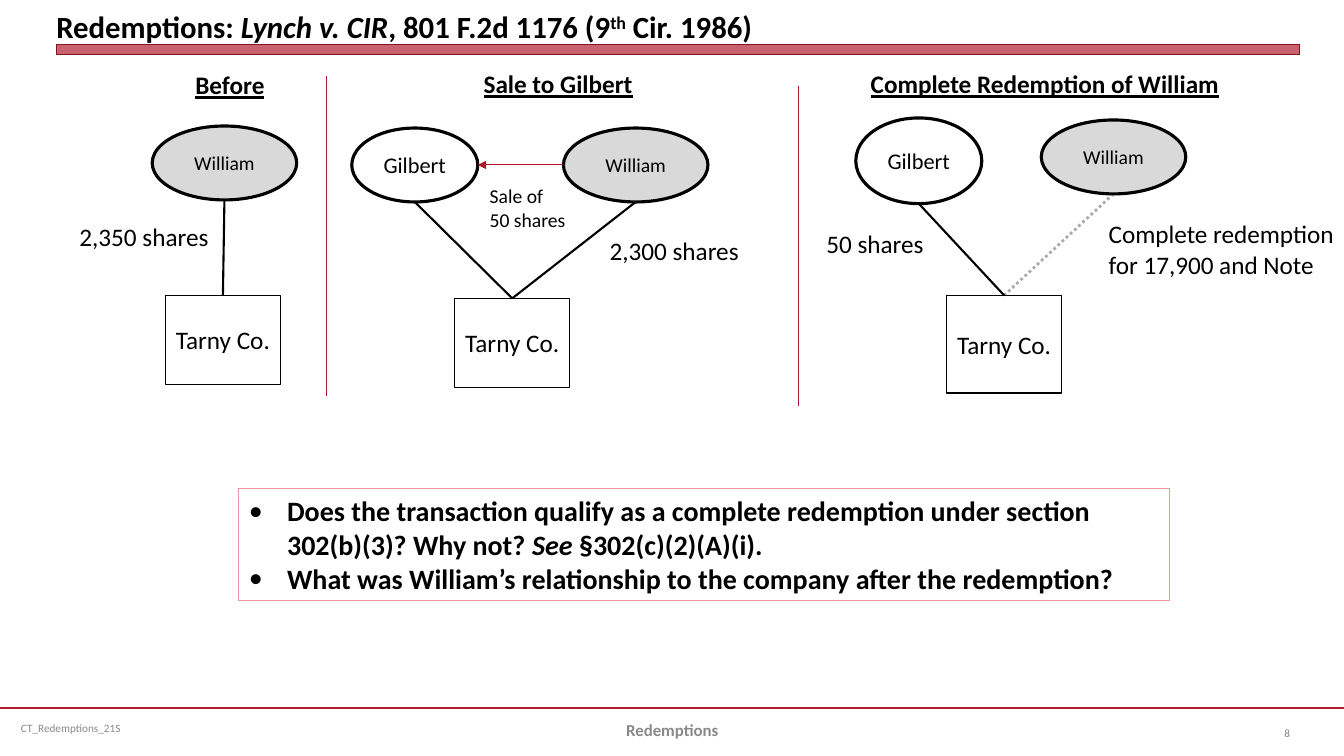
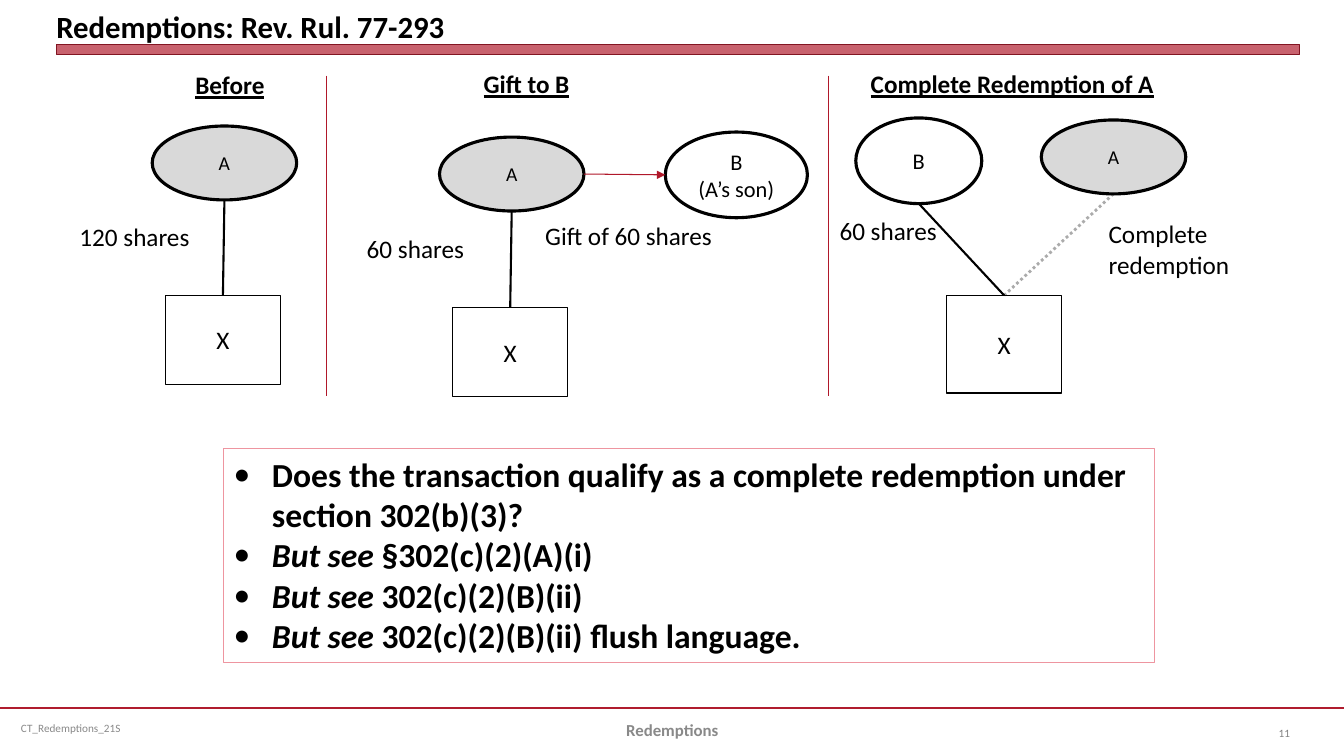
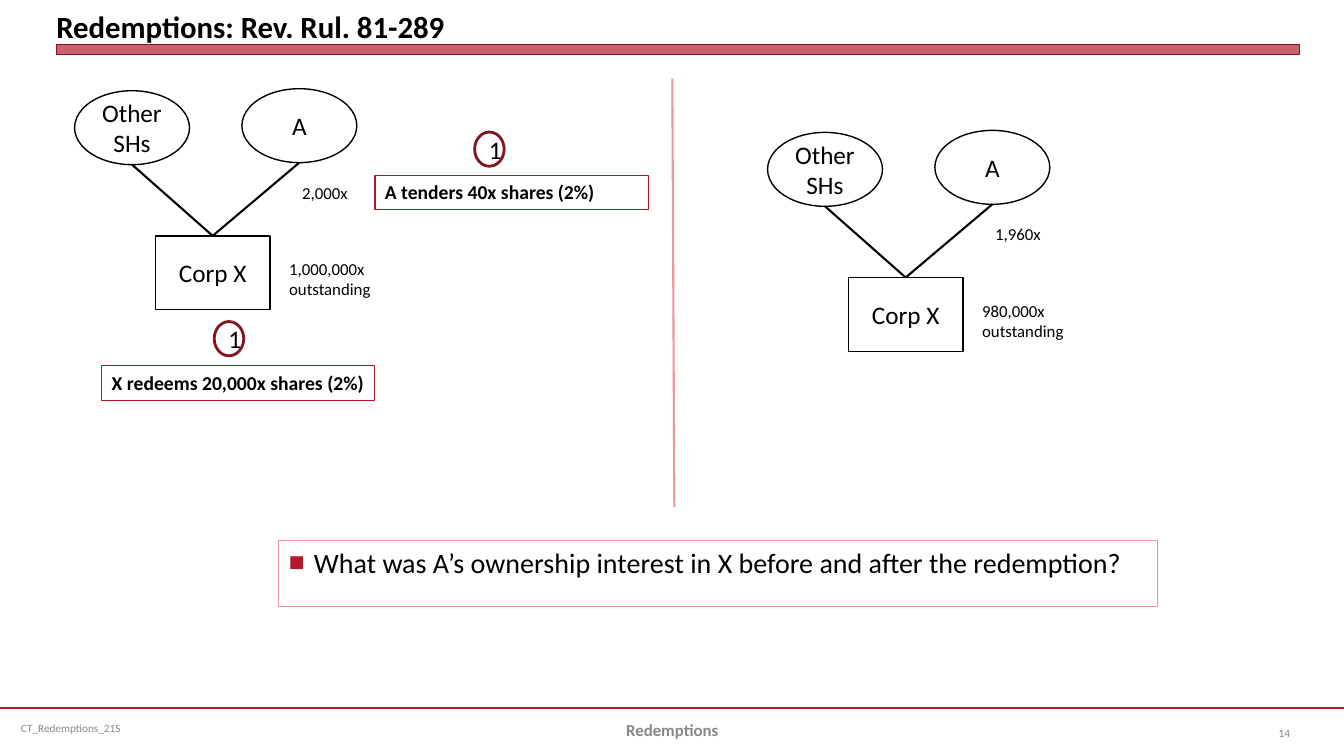
from dataclasses import dataclass
from typing import NamedTuple, Optional

from lxml import etree
from pptx import Presentation
from pptx import util as u
from pptx.dml.color import RGBColor
from pptx.enum import dml, shapes, text
from pptx.oxml.ns import qn

WIDTH, HEIGHT = u.Inches(13.333), u.Inches(7.5)
COLS, ROWS = 80, 45
RECT, OVAL = shapes.MSO_SHAPE.RECTANGLE, shapes.MSO_SHAPE.OVAL
ALIGN, ANCHOR = text.PP_ALIGN, text.MSO_ANCHOR


@dataclass(frozen=True)
class Theme:
    font: str = "Calibri"
    ink: str = "000000"
    red: str = "B01C2E"
    line: str = "B0182A"
    dark: str = "821522"
    pink: str = "EE95A0"
    shade: str = "D9D9D9"
    grey: str = "898989"
    page: str = "808080"
    title: float = 22
    large: float = 24
    ask: float = 20
    body: float = 18
    name: float = 16
    small: float = 14
    foot: float = 12
    tiny: float = 8


T = Theme()
HEAD = {"size": T.body, "bold": True, "underline": True}


class Point(NamedTuple):
    x: float
    y: float


@dataclass(frozen=True)
class Box:
    """Place and size in grid columns and rows."""
    x: float
    y: float
    w: float
    h: float

    @property
    def top(self) -> Point:
        return Point(self.x + self.w / 2, self.y)

    @property
    def foot(self) -> Point:
        return Point(self.x + self.w / 2, self.y + self.h)

    @property
    def left(self) -> Point:
        return Point(self.x, self.y + self.h / 2)

    @property
    def right(self) -> Point:
        return Point(self.x + self.w, self.y + self.h / 2)

    def shift(self, by: Point) -> "Box":
        return Box(self.x + by.x, self.y + by.y, self.w, self.h)


class Bullet(NamedTuple):
    char: str
    indent: float
    color: Optional[str] = None
    scale: Optional[int] = None


class Label(NamedTuple):
    words: str
    box: Box
    size: float = T.body
    wrap: bool = False


class Node(NamedTuple):
    words: str
    box: Box
    size: float = T.body
    fill: Optional[str] = None
    weight: float = 1
    edge: str = T.ink
    kind: int = OVAL


class Case(NamedTuple):
    """What differs between the two three-panel slides."""
    title: str
    page: int
    firm: str
    seller: str
    buyer: str
    held: str
    heads: tuple
    kept: Label
    note: Label
    split: Point
    ask: Box
    size: float
    points: str


DOT = Bullet("•", 0.38)
SQUARE = Bullet("■", 0.25, T.red, 60)


def col(n: float) -> int:
    return round(WIDTH * n / COLS)


def row(n: float) -> int:
    return round(HEIGHT * n / ROWS)


def place(box: Box) -> tuple:
    return col(box.x), row(box.y), col(box.w), row(box.h)


def rgb(code: str) -> RGBColor:
    return RGBColor.from_string(code)


def fade(shape, share: int) -> None:
    """Make the first colour of a shape partly transparent."""
    color = shape._element.spPr.find(".//" + qn("a:srgbClr"))
    etree.SubElement(color, qn("a:alpha")).set("val", str(share * 1000))


def mark(para, bullet: Bullet) -> None:
    props = para._p.get_or_add_pPr()
    step = u.Inches(bullet.indent)
    props.set("marL", str(step))
    props.set("indent", str(-step))
    if bullet.color:
        tint = etree.SubElement(props, qn("a:buClr"))
        etree.SubElement(tint, qn("a:srgbClr")).set("val", bullet.color)
    if bullet.scale:
        etree.SubElement(props, qn("a:buSzPct")).set("val", str(bullet.scale * 1000))
    etree.SubElement(props, qn("a:buFont")).set("typeface", T.font)
    etree.SubElement(props, qn("a:buChar")).set("char", bullet.char)


def write(shape, words: str, look: dict, color: str = T.ink, align=ALIGN.LEFT,
          anchor=ANCHOR.TOP, wrap: bool = True, grow: bool = False,
          bullet: Optional[Bullet] = None) -> None:
    """Set text: each line a paragraph, *italic*, ^superscript^."""
    frame = shape.text_frame
    frame.word_wrap = wrap
    frame.vertical_anchor = anchor
    fit = text.MSO_AUTO_SIZE
    frame.auto_size = fit.SHAPE_TO_FIT_TEXT if grow else fit.NONE
    for i, line in enumerate(words.split("\n")):
        para = frame.add_paragraph() if i else frame.paragraphs[0]
        para.alignment = align
        if bullet:
            mark(para, bullet)
        for j, part in enumerate(line.split("*")):
            for k, bit in enumerate(part.split("^")):
                if not bit:
                    continue
                run = para.add_run()
                run.text = bit
                values = {"name": T.font, **look, "size": u.Pt(look["size"])}
                if j % 2:
                    values["italic"] = True
                for key, value in values.items():
                    setattr(run.font, key, value)
                run.font.color.rgb = rgb(color)
                if k % 2:
                    run._r.get_or_add_rPr().set("baseline", "30000")


def shape(slide, kind: int, box: Box, edge: str, weight: float,
          fill: Optional[str] = None):
    item = slide.shapes.add_shape(kind, *place(box))
    item.shadow.inherit = False
    if fill:
        item.fill.solid()
        item.fill.fore_color.rgb = rgb(fill)
    else:
        item.fill.background()
    item.line.color.rgb = rgb(edge)
    item.line.width = u.Pt(weight)
    return item


def line(slide, start: Point, end: Point, color: str = T.ink,
         weight: float = 1.5, firm=None, head: bool = False):
    """Draw a straight line; it is joined to the top of firm, if given."""
    item = slide.shapes.add_connector(
        shapes.MSO_CONNECTOR.STRAIGHT,
        col(start.x), row(start.y), col(end.x), row(end.y))
    if firm is not None:
        item.end_connect(firm, 0)
    item.line.color.rgb = rgb(color)
    item.line.width = u.Pt(weight)
    if head:
        tip = etree.SubElement(item.line._get_or_add_ln(), qn("a:tailEnd"))
        tip.set("type", "triangle")
    etree.SubElement(item._element.spPr, qn("a:effectLst"))
    return item


def note(slide, words: str, box: Box, look: dict, **how):
    item = slide.shapes.add_textbox(*place(box))
    write(item, words, look, **how)
    return item


def label(slide, tag: Label) -> None:
    note(slide, tag.words, tag.box, {"size": tag.size}, wrap=tag.wrap, grow=True)


def heading(slide, words: str, box: Box) -> None:
    note(slide, words, box, HEAD, wrap=False, grow=True)


def node(slide, item: Node):
    made = shape(slide, item.kind, item.box, item.edge, item.weight, item.fill)
    write(made, item.words, {"size": item.size}, align=ALIGN.CENTER,
          anchor=ANCHOR.MIDDLE)
    return made


def company(slide, words: str, box: Box):
    return node(slide, Node(words, box, kind=RECT))


def seller(slide, words: str, box: Box) -> None:
    node(slide, Node(words, box, T.small, T.shade, 2.25))


def buyer(slide, words: str, box: Box) -> None:
    node(slide, Node(words, box, T.name, weight=2.25))


def split(slide, top: Point) -> None:
    line(slide, top, Point(top.x, top.y + 19.08), T.line, 0.75)


def ask(slide, words: str, box: Box, look: dict, bullet: Bullet,
        align=ALIGN.LEFT, grow: bool = True) -> None:
    frame = shape(slide, RECT, box, T.pink, 0.75)
    write(frame, words, look, bullet=bullet, align=align, grow=grow)


def start(deck, title: str, page: int):
    """Add a slide with its title, band and footer."""
    slide = deck.slides.add_slide(deck.slide_layouts[6])
    line(slide, Point(0, 42.15), Point(COLS, 42.15), T.red, 1.25)
    band = shape(slide, RECT, Box(3.36, 2.66, 74, 0.6), T.dark, 0, T.red)
    fade(band, 69)
    head = note(slide, title, Box(3.36, 0.25, 74, 2.4),
                {"size": T.title, "bold": True}, anchor=ANCHOR.BOTTOM)
    for side in ("left", "top", "right", "bottom"):
        setattr(head.text_frame, "margin_" + side, 0)
    tiny = {"size": T.tiny}
    mid = ANCHOR.MIDDLE
    note(slide, "CT_Redemptions_21S", Box(0.66, 42.12, 20.64, 2.4), tiny,
         color=T.grey, anchor=mid)
    note(slide, "Redemptions", Box(27.36, 42.25, 25.32, 2.4),
         {"size": T.foot, "bold": True}, color=T.grey, align=ALIGN.CENTER,
         anchor=mid)
    note(slide, str(page), Box(73.38, 42.45, 4, 2.4), tiny, color=T.page,
         align=ALIGN.RIGHT, anchor=mid)
    return slide


def panels(deck, case: Case):
    """Draw the outer panels and the questions; the middle stays open."""
    slide = start(deck, case.title, case.page)
    for words, box in zip(case.heads, (Box(11.04, 3.84, 5.34, 2.4),
                                       Box(28.2, 3.78, 10.14, 2.4),
                                       Box(51.24, 3.78, 22.14, 2.4))):
        heading(slide, words, box)

    owner = Box(9.06, 7.5, 8.6, 4.4)
    base = Box(9.84, 17.58, 6.86, 5.3)
    line(slide, owner.foot, base.top, firm=company(slide, case.firm, base))
    seller(slide, case.seller, owner)
    label(slide, Label(case.held, Box(4.14, 12.9, 9, 2.4)))

    stay, leave = Box(50.94, 7.02, 7.5, 5.1), Box(61.98, 7.14, 8.6, 4.4)
    base = Box(56.34, 17.58, 6.86, 5.82)
    firm = company(slide, case.firm, base)
    gone = line(slide, leave.foot, base.top, weight=2, firm=firm)
    gone.line.dash_style = dml.MSO_LINE.ROUND_DOT
    fade(gone, 33)
    line(slide, stay.foot, base.top, firm=firm)
    buyer(slide, case.buyer.split("\n")[0], stay)
    seller(slide, case.seller, leave)
    label(slide, case.kept)
    label(slide, case.note)

    split(slide, Point(19.44, 4.5))
    split(slide, case.split)
    ask(slide, case.points, case.ask, {"size": case.size, "bold": True}, DOT)
    return slide


def lynch(deck) -> None:
    case = Case(
        "Redemptions: *Lynch v. CIR*, 801 F.2d 1176 (9^th^ Cir. 1986)", 8,
        "Tarny Co.", "William", "Gilbert", "2,350 shares",
        ("Before", "Sale to Gilbert", "Complete Redemption of William"),
        Label("50 shares", Box(48.6, 13.32, 7.08, 2.4)),
        Label("Complete redemption\nfor 17,900 and Note",
              Box(65.4, 12.72, 15.12, 4.26)),
        Point(47.52, 5.1), Box(14.22, 29.1, 55.38, 6.66), T.ask,
        "Does the transaction qualify as a complete redemption under section "
        "302(b)(3)? Why not? *See *§302(c)(2)(A)(i).\n"
        "What was William’s relationship to the company after the redemption?")
    slide = panels(deck, case)
    giver, taker = Box(33.54, 7.62, 8.6, 4.4), Box(20.94, 7.62, 7.5, 4.4)
    base = Box(27.06, 17.76, 6.86, 5.3)
    firm = company(slide, case.firm, base)
    for owner in (giver, taker):
        line(slide, owner.foot, base.top, firm=firm)
    seller(slide, case.seller, giver)
    buyer(slide, case.buyer, taker)
    line(slide, giver.left, taker.right, T.line, 0.75, head=True)
    label(slide, Label("Sale of\n50 shares", Box(28.56, 10.68, 5.76, 3.42), T.small))
    label(slide, Label("2,300 shares", Box(35.7, 13.74, 9, 2.4)))


def gift(deck) -> None:
    case = Case(
        "Redemptions: Rev. Rul. 77-293", 11, "X", "A", "B\n(A’s son)",
        "120 shares", ("Before", "Gift to B", "Complete Redemption of A"),
        Label("60 shares", Box(49.38, 12.54, 7.08, 2.4)),
        Label("Complete redemption", Box(65.4, 12.72, 13.38, 4.26), wrap=True),
        Point(49.32, 4.5), Box(13.32, 26.7, 55.38, 12.72), T.large,
        "Does the transaction qualify as a complete redemption under section "
        "302(b)(3)?\n*But see *§302(c)(2)(A)(i)\n*But see *302(c)(2)(B)(ii)\n"
        "*But see *302(c)(2)(B)(ii) flush language.")
    slide = panels(deck, case)
    giver, taker = Box(26.16, 8.16, 8.6, 4.4), Box(39.6, 7.86, 8.46, 5.1)
    base = Box(26.94, 18.3, 6.86, 5.3)
    line(slide, giver.foot, base.top, firm=company(slide, case.firm, base))
    seller(slide, case.seller, giver)
    buyer(slide, case.buyer, taker)
    line(slide, giver.right, taker.left, T.line, 0.75, head=True)
    label(slide, Label("60 shares", Box(21.24, 13.62, 7.08, 2.4)))
    label(slide, Label("Gift of 60 shares", Box(31.86, 12.84, 11.28, 2.4)))


def stakes(slide, by: Point, held: str, total: str) -> None:
    """Draw both owners of Corp X, moved by a number of cells."""
    base = Box(9.24, 14.04, 6.84, 4.4).shift(by)
    firm = company(slide, "Corp X", base)
    for words, box in (("A", Box(14.4, 5.28, 6.84, 4.4)),
                       ("Other SHs", Box(4.44, 5.4, 6.84, 4.4))):
        owner = box.shift(by)
        node(slide, Node(words, owner))
        line(slide, owner.foot, base.top, firm=firm)
    label(slide, Label(held, Box(17.4, 10.56, 3.96, 1.8).shift(by), T.foot))
    label(slide, Label(total + "\noutstanding",
                       Box(16.62, 15.12, 6.12, 3).shift(by), T.foot))


def tender(deck) -> None:
    slide = start(deck, "Redemptions: Rev. Rul. 81-289", 14)
    stakes(slide, Point(0, 0), "2,000x", "1,000,000x")
    stakes(slide, Point(41.25, 2.48), "1,960x", "980,000x")
    line(slide, Point(40.02, 4.68), Point(40.14, 30.18), T.pink)
    for words, tag, ring in (
            ("X redeems 20,000x shares (2%)", Point(6.06, 21.78), Point(12.75, 19.14)),
            ("A tenders 40x shares (2%)", Point(22.32, 10.44), Point(28.25, 7.86))):
        box = shape(slide, RECT, Box(*tag, 16.26, 2.04), T.line, 0.75)
        write(box, words, {"size": T.small, "bold": True}, grow=True)
        node(slide, Node("1", Box(*ring, 1.76, 2.04), weight=2, edge=T.dark))
    ask(slide, "What was A’s ownership interest in X before and after the redemption?",
        Box(16.6, 32.16, 52.32, 3.96), {"size": T.ask}, SQUARE, ALIGN.JUSTIFY, False)


def main() -> None:
    deck = Presentation()
    deck.slide_width, deck.slide_height = WIDTH, HEIGHT
    for build in (lynch, gift, tender):
        build(deck)
    deck.save("out.pptx")


if __name__ == "__main__":
    main()
